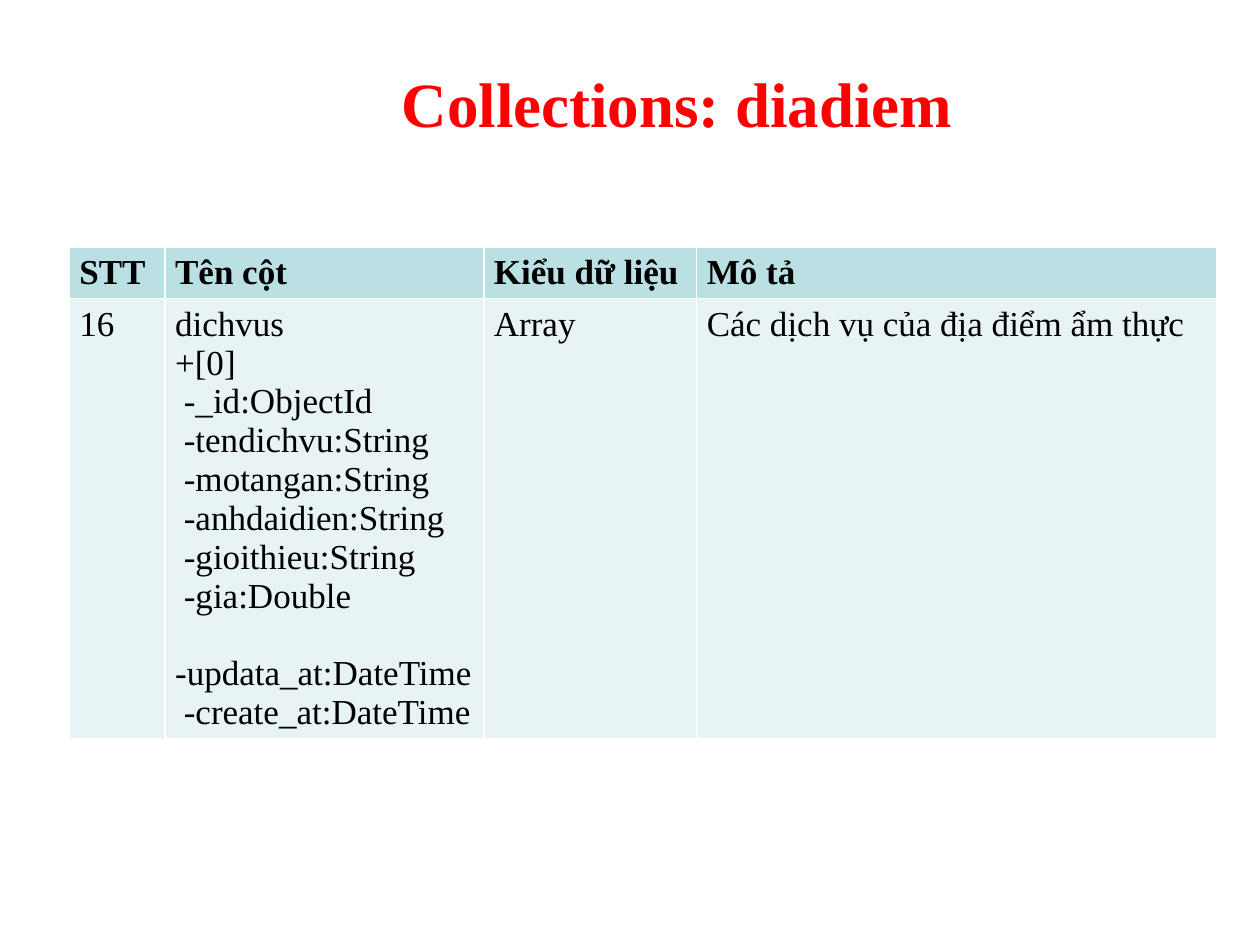
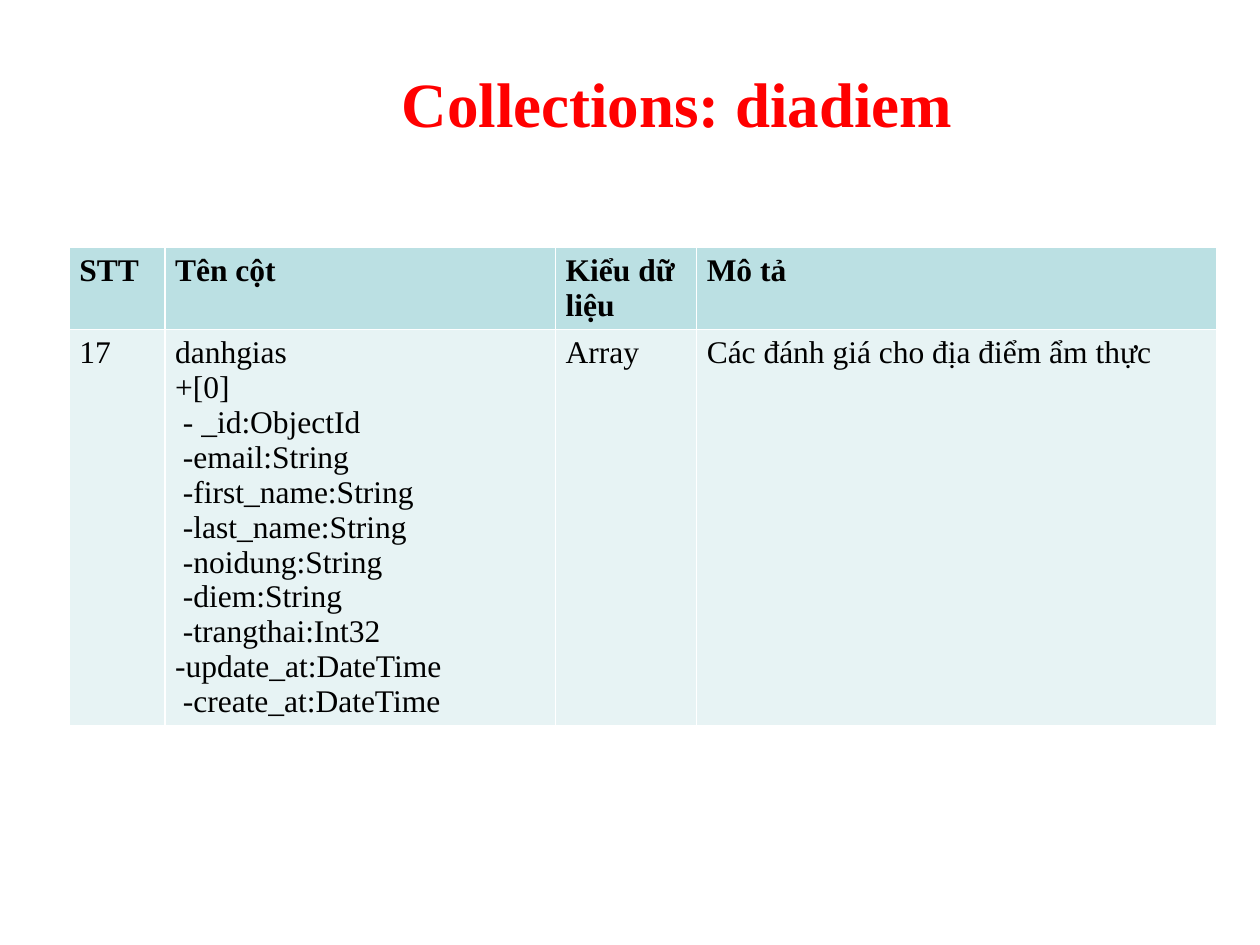
"""Build two slides that list array fields of the diadiem collection."""
from pptx import Presentation
from pptx.dml.color import RGBColor
from pptx.enum.text import MSO_ANCHOR as Anchor, PP_ALIGN as Align
from pptx.util import Inches, Pt

FACE = "Times New Roman"
RED, BLACK, TEAL, PALE = "FF0000", "000000", "BBE0E3", "E7F3F4"
HEADS = ["STT", "Tên cột", "Kiểu dữ liệu", "Mô tả"]

PAGES = [
    (20, [0.76, 2.53, 1.69, 4.13], [
        "16",
        "dichvus\n+[0]\n -_id:ObjectId\n -tendichvu:String\n -motangan:String\n"
        " -anhdaidien:String\n -gioithieu:String|"
        " -gia:Double\n -updata_at:DateTime\n -create_at:DateTime",
        "Array",
        "Các dịch vụ của địa điểm ẩm thực"]),
    (18, [0.76, 3.1, 1.12, 4.13], [
        "17",
        "danhgias\n+[0]|"
        " - _id:ObjectId\n -email:String\n -first_name:String\n"
        " -last_name:String\n -noidung:String|"
        " -diem:String\n -trangthai:Int32|"
        "-update_at:DateTime\n -create_at:DateTime",
        "Array",
        "Các đánh giá cho địa điểm ẩm thực"]),
]


def tint(code):
    return RGBColor.from_string(code)


def write(frame, text, size, color, bold):
    for num, part in enumerate(text.split("|")):
        para = frame.add_paragraph() if num else frame.paragraphs[0]
        for row, line in enumerate(part.split("\n")):
            if row:
                para.add_line_break()
            run = para.add_run()
            run.text = line
            font = run.font
            font.name, font.size, font.bold = FACE, Pt(size), bold
            font.color.rgb = tint(color)


deck = Presentation()
deck.slide_width, deck.slide_height = Inches(10), Inches(7.5)
wide, high = deck.slide_width, deck.slide_height

for size, cols, vals in PAGES:
    slide = deck.slides.add_slide(deck.slide_layouts[5])

    title = slide.shapes.title
    title.left, title.top = int(wide * 0.125), int(high * 0.04)
    title.width, title.height = int(wide * 0.825), int(high * 0.137)
    title.text_frame.vertical_anchor = Anchor.MIDDLE
    write(title.text_frame, "Collections: diadiem", 36, RED, True)
    title.text_frame.paragraphs[0].alignment = Align.CENTER

    grid = slide.shapes.add_table(
        2, len(cols), int(wide * 0.055), Inches(1.96),
        Inches(sum(cols)), Inches(0.82)).table
    for col, width in zip(grid.columns, cols):
        col.width = Inches(width)

    for row, (texts, fill) in enumerate([(HEADS, TEAL), (vals, PALE)]):
        for col, text in enumerate(texts):
            cell = grid.cell(row, col)
            cell.fill.solid()
            cell.fill.fore_color.rgb = tint(fill)
            cell.margin_left = cell.margin_right = Inches(0.08)
            cell.margin_top = cell.margin_bottom = Inches(0.05)
            write(cell.text_frame, text, size, BLACK, row == 0)

deck.save("out.pptx")
